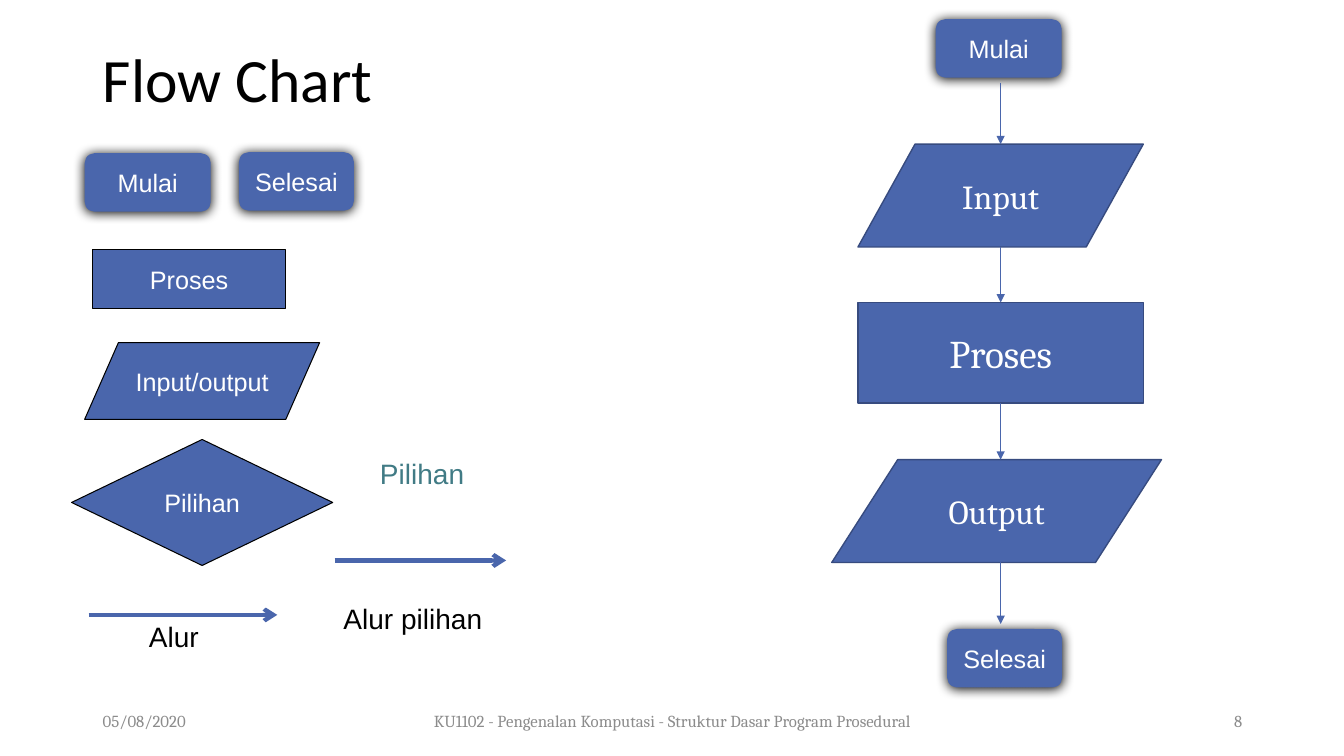
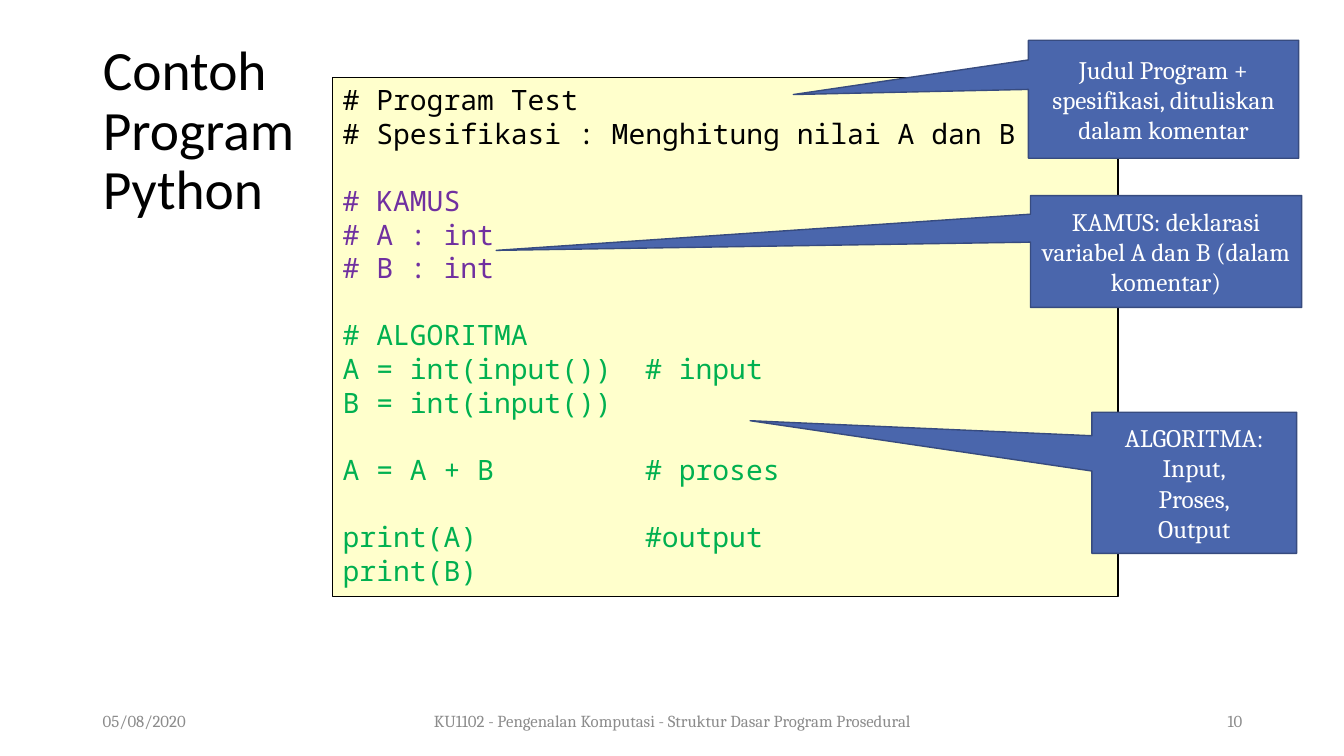
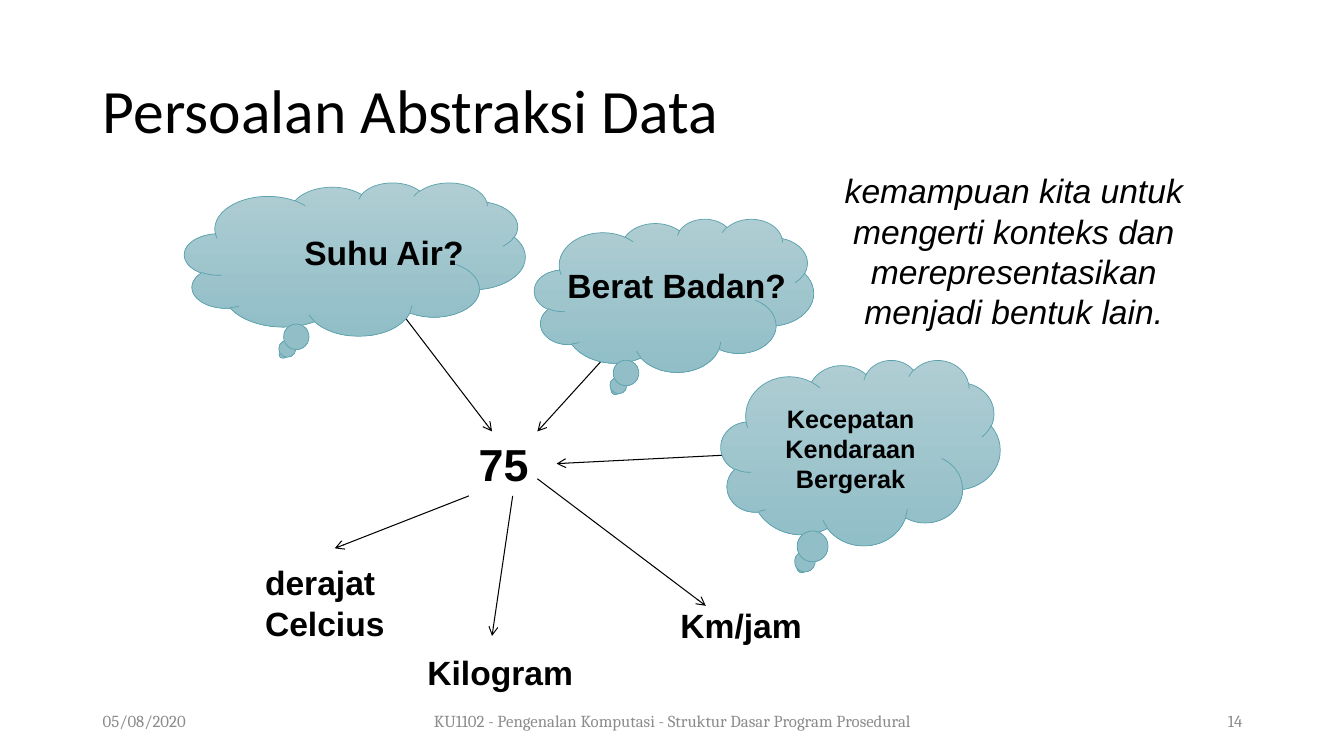
from dataclasses import dataclass, replace
from itertools import pairwise

from lxml.etree import SubElement
from pptx import Presentation
from pptx.dml.color import RGBColor
from pptx.enum.shapes import MSO_CONNECTOR, MSO_SHAPE as Shape
from pptx.enum.text import MSO_ANCHOR as Anchor, PP_ALIGN as Align
from pptx.oxml.ns import qn
from pptx.util import Inches, Pt

COLS, ROWS = 133.3, 75  # grid cells of a tenth of an inch
TOP, BOTTOM, RIGHT = 0, 2, 3  # connection sites


@dataclass(frozen=True)
class Style:
    font: str
    size: float
    color: str
    bold: bool = False
    italic: bool = False


class Theme:
    blue, edge, black = "4A66AC", "374B7F", "000000"
    cloud_top, cloud_bottom, cloud_edge = "AFCDD3", "91BEC7", "5AA2AE"
    paper = "FFFFCC"
    title = Style("Calibri", 44, black)
    footer = Style("Cambria", 12, "8C8C8C")
    symbol = Style("Arial", 18, "FFFFFF")
    caption = Style("Arial", 20, black)
    choice = replace(caption, color="417B85")
    step = Style("Cambria", 24, "FFFFFF")
    main_step = replace(step, size=28)
    callout = replace(step, size=18)
    code = Style("Noto Sans Mono", 20, black)
    code_kamus = replace(code, color="7030A0")
    code_algoritma = replace(code, color="00B050")
    unit = Style("Arial", 24, black, bold=True)
    number = replace(unit, size=32)
    thought = replace(unit, size=18)
    remark = Style("Arial", 24, black, italic=True)


@dataclass(frozen=True)
class Box:
    """A rectangle in grid cells."""
    left: float
    top: float
    width: float
    height: float

    def inner(self, x, y, width, height):
        return Box(self.left + x, self.top + y, width, height)

    def point(self, x, y):
        return self.left + x, self.top + y

    def emu(self):
        return [cells(n) for n in (self.left, self.top, self.width, self.height)]


SLIDE = Box(0, 0, COLS, ROWS)


def cells(count):
    return Inches(count / 10)


def rgb(color):
    return RGBColor.from_string(color)


def format_paragraph(paragraph, style, align):
    font = paragraph.font
    font.name, font.size = style.font, Pt(style.size)
    font.bold, font.italic = style.bold, style.italic
    font.color.rgb = rgb(style.color)
    paragraph.alignment = align


def write(frame, text, style, align=Align.LEFT, anchor=Anchor.TOP):
    frame.word_wrap = True
    frame.vertical_anchor = anchor
    frame.text = text
    for paragraph in frame.paragraphs:
        format_paragraph(paragraph, style, align)


def add_label(slide, box, text, style, align=Align.LEFT, anchor=Anchor.TOP):
    label = slide.shapes.add_textbox(*box.emu())
    write(label.text_frame, text, style, align, anchor)
    return label


def add_node(slide, kind, box, fill=Theme.blue, line=None, weight=1, text="",
             style=Theme.symbol, adjust=()):
    node = slide.shapes.add_shape(kind, *box.emu())
    node.shadow.inherit = False
    if fill:
        node.fill.solid()
        node.fill.fore_color.rgb = rgb(fill)
    if line:
        node.line.color.rgb = rgb(line)
        node.line.width = Pt(weight)
    else:
        node.line.fill.background()
    for index, value in enumerate(adjust):
        node.adjustments[index] = value
    if text:
        write(node.text_frame, text, style, Align.CENTER, Anchor.MIDDLE)
    return node


def add_terminator(slide, box, text):
    node = add_node(slide, Shape.ROUNDED_RECTANGLE, box, text=text)
    effects = node._element.spPr.find(qn("a:effectLst"))
    shadow = SubElement(effects, qn("a:outerShdw"), blurRad=str(Pt(8.5)),
                        dist=str(Pt(1)), dir="5400000", rotWithShape="0")
    SubElement(shadow, qn("a:srgbClr"), val=Theme.black)
    return node


def add_arrow(slide, start, end, color=Theme.black, weight=0.75, head="arrow"):
    arrow = slide.shapes.add_connector(
        MSO_CONNECTOR.STRAIGHT, *[cells(n) for n in (*start, *end)])
    arrow.line.color.rgb = rgb(color)
    arrow.line.width = Pt(weight)
    properties = arrow._element.spPr
    SubElement(properties.find(qn("a:ln")), qn("a:tailEnd"), type=head)
    SubElement(properties, qn("a:effectLst"))
    return arrow


def start_slide(deck, title, number, box, size=Theme.title.size):
    """Add a slide with its title in the box and the shared footer."""
    slide = deck.slides.add_slide(deck.slide_layouts[5])
    heading = slide.shapes.title
    heading.left, heading.top, heading.width, heading.height = box.emu()
    write(heading.text_frame, title, replace(Theme.title, size=size),
          anchor=Anchor.MIDDLE)
    heading.text_frame.paragraphs[0].line_spacing = 0.9
    add_footer(slide, SLIDE.inner(9.2, 69.5, 115, 4), number)
    return slide


def add_footer(slide, box, number):
    course = "KU1102 - Pengenalan Komputasi - Struktur Dasar Program Prosedural"
    x = 0
    for text, width, align in (("05/08/2020", 30, Align.LEFT),
                               (course, 55, Align.CENTER),
                               (str(number), 30, Align.RIGHT)):
        add_label(slide, box.inner(x, 0, width, box.height), text, Theme.footer,
                  align, Anchor.MIDDLE)
        x += width


def add_symbol_legend(slide, box):
    add_terminator(slide, box.inner(16.6, 0, 11.4, 5.8), "Selesai")
    add_terminator(slide, box.inner(1.3, 0.1, 12.5, 5.8), "Mulai")
    for kind, place, text, adjust in (
            (Shape.RECTANGLE, (2.1, 9.7, 19.1, 5.8), "Proses", ()),
            (Shape.PARALLELOGRAM, (1.3, 18.9, 23.3, 7.6), "Input/output", (0.44,)),
            (Shape.FLOWCHART_DECISION, (0, 28.5, 25.9, 12.5), "Pilihan", ())):
        add_node(slide, kind, box.inner(*place), line=Theme.black, weight=0.75,
                 text=text, adjust=adjust)
    for x, y, length in ((1.7, 45.9, 18.7), (26.1, 40.5, 17)):
        add_arrow(slide, box.point(x, y), box.point(x + length, y), Theme.blue, 3)
    for place, text, style, align in (
            ((0, 45.9, 20.3, 4.4), "Alur", Theme.caption, Align.CENTER),
            ((24.6, 44.1, 18.5, 4.4), "Alur pilihan", Theme.caption, Align.CENTER),
            ((29.6, 29.7, 10.5, 4.4), "Pilihan", Theme.choice, Align.LEFT)):
        add_label(slide, box.inner(*place), text, style, align)


def add_flow(slide, box):
    """Stack the steps around the box's centre line and link them downwards."""
    axis, clearance = box.width / 2, 0.5
    data = Shape.FLOWCHART_DATA
    steps = (  # kind, text, shift from the axis, top, width, height, style
        (None, "Mulai", -0.2, 0, 12.5, 5.8, None),
        (data, "Input", 0, 12.4, 28.3, 10.2, Theme.step),
        (Shape.RECTANGLE, "Proses", 0, 28.1, 28.3, 10, Theme.main_step),
        (data, "Output", -0.4, 43.7, 32.7, 10.2, Theme.step),
        (None, "Selesai", 0.4, 60.5, 11.4, 5.8, None))
    placed = []
    for kind, text, shift, top, width, height, style in steps:
        place = box.inner(axis + shift - width / 2, top, width, height)
        if kind is None:
            node = add_terminator(slide, place, text)
        else:
            node = add_node(slide, kind, place, line=Theme.edge, text=text, style=style)
        placed.append((kind, top, top + height, node))
    for (kind, _, bottom, node), (next_kind, next_top, _, next_node) in pairwise(placed):
        begin = bottom + (clearance if kind is None else 0)
        end = next_top - (clearance if next_kind is None else 0)
        arrow = add_arrow(slide, box.point(axis, begin), box.point(axis, end),
                          Theme.blue, 0.5, "triangle")
        if kind == Shape.RECTANGLE:
            arrow.begin_connect(node, BOTTOM)
        if next_kind == Shape.RECTANGLE:
            arrow.end_connect(next_node, TOP)


def add_listing(slide, box):
    """Show the program in blocks; each new block leaves one line free."""
    blocks = (
        (Theme.code, "# Program Test", "# Spesifikasi : Menghitung nilai A dan B"),
        (Theme.code_kamus, "# KAMUS", "# A : int", "# B : int"),
        (Theme.code_algoritma, "# ALGORITMA", "A = int(input())\t# input",
         "B = int(input())"),
        (Theme.code_algoritma, "A = A + B\t# proses"),
        (Theme.code_algoritma, "print(A)\t#output", "print(B)"))
    listing = add_node(slide, Shape.RECTANGLE, box, Theme.paper, Theme.black)
    frame = listing.text_frame
    write(frame, "\n".join(line for _, *lines in blocks for line in lines),
          Theme.code)
    paragraphs = iter(frame.paragraphs)
    for index, (style, *lines) in enumerate(blocks):
        for row, _ in enumerate(lines):
            paragraph = next(paragraphs)
            format_paragraph(paragraph, style, Align.LEFT)
            if index and not row:
                paragraph.space_before = Pt(24)
            add_comment_tab(paragraph)


def add_comment_tab(paragraph):
    properties = paragraph._p.get_or_add_pPr()
    tabs = properties.makeelement(qn("a:tabLst"))
    SubElement(tabs, qn("a:tab"), pos=str(Inches(3)), algn="l")
    properties.find(qn("a:defRPr")).addprevious(tabs)


def add_callouts(slide, box):
    for place, tip, text in (
            ((0, 0, 26.8, 11.7), (-1.37, -0.04),
             "Judul Program + spesifikasi, dituliskan dalam komentar"),
            ((0.2, 15.4, 26.9, 11.1), (-2.47, -0.01),
             "KAMUS: deklarasi variabel A dan B (dalam komentar)"),
            ((6.3, 36.9, 20.3, 14), (-2.17, -0.44),
             "ALGORITMA:\nInput,\nProses,\nOutput")):
        add_node(slide, Shape.RECTANGULAR_CALLOUT, box.inner(*place),
                 line=Theme.edge, text=text, style=Theme.callout, adjust=tip)


def add_cloud(slide, box, text=""):
    cloud = add_node(slide, Shape.CLOUD_CALLOUT, box, None, Theme.cloud_edge, 0.5,
                     text, Theme.thought, (-0.21, 0.62))
    cloud.fill.gradient()
    cloud.fill.gradient_angle = 270
    for stop, color in zip(cloud.fill.gradient_stops,
                           (Theme.cloud_top, Theme.cloud_bottom)):
        stop.color.rgb = rgb(color)


def add_meanings(slide, box):
    """Point from the questions to the number and from it to its units."""
    number = add_label(slide, box.inner(28.2, 24.7, 8.7, 6.4), "75", Theme.number)
    speed = add_arrow(slide, box.point(54.7, 27), box.point(36.9, 27.9))
    speed.end_connect(number, RIGHT)
    add_cloud(slide, box.inner(53.2, 17.6, 27.7, 18.4), "Kecepatan Kendaraan Bergerak")
    for start, end, cloud, place, text in (
            ((45.9, 12.7), (35, 24.7), (34.7, 3.6, 27.7, 15.2),
             (37, 7.7, 24.6, 5), "Berat Badan?"),
            ((19.2, 9.9), (30.5, 24.7), (0, 0, 33.8, 15.2),
             (10.9, 4.4, 22.5, 5), "Suhu Air?")):
        add_arrow(slide, box.point(*start), box.point(*end))
        add_cloud(slide, box.inner(*cloud))
        add_label(slide, box.inner(*place), text, Theme.unit)
    for start, end, place, text in (
            ((28.2, 31.1), (14.9, 36.3), (7, 37.2, 18.9, 9), "derajat Celcius"),
            ((32.6, 31.1), (30.5, 45), (23.1, 46.1, 18.9, 5), "Kilogram"),
            ((35, 29.4), (51.7, 42), (48.2, 41.4, 18.9, 5), "Km/jam")):
        arrow = add_arrow(slide, box.point(*start), box.point(*end))
        if text == "Kilogram":
            arrow.begin_connect(number, BOTTOM)
        add_label(slide, box.inner(*place), text, Theme.unit)


def main():
    deck = Presentation()
    deck.slide_width, deck.slide_height = cells(COLS), cells(ROWS)

    flow_chart = start_slide(deck, "Flow Chart", 8, SLIDE.inner(9.2, 4, 115, 8.4))
    add_symbol_legend(flow_chart, SLIDE.inner(7.1, 15.1, 44, 51))
    add_flow(flow_chart, SLIDE.inner(82.5, 1.9, 33.5, 66.3))

    program = start_slide(deck, "Contoh Program Python", 10,
                          SLIDE.inner(9.2, 4, 30, 18.2), 39.6)
    add_listing(program, SLIDE.inner(33, 7.7, 77.9, 51.5))
    add_callouts(program, SLIDE.inner(102, 4, 27.1, 51))

    abstraction = start_slide(deck, "Persoalan Abstraksi Data", 14,
                              SLIDE.inner(9.2, 4, 115, 14.5))
    add_meanings(abstraction, SLIDE.inner(18.3, 18.1, 81, 51))
    add_label(abstraction, SLIDE.inner(82.7, 16.4, 35.7, 17.2),
              "kemampuan kita untuk mengerti konteks dan merepresentasikan "
              "menjadi bentuk lain.", Theme.remark, Align.CENTER)

    deck.save("out.pptx")


if __name__ == "__main__":
    main()
